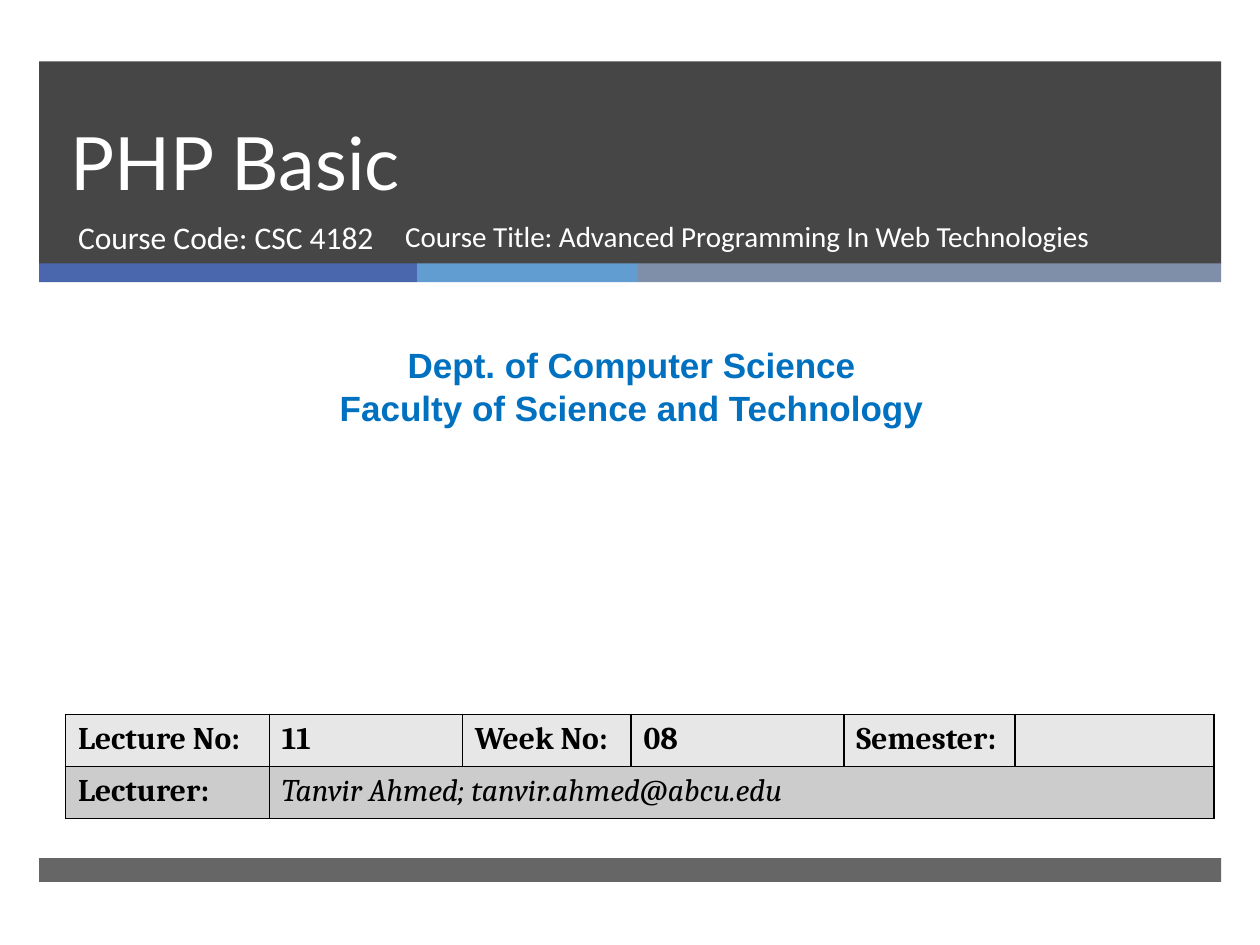
"""Build the opening slide of a PHP lecture."""
from dataclasses import dataclass, field

from lxml import etree
from pptx import Presentation
from pptx.dml.color import RGBColor
from pptx.enum.shapes import MSO_SHAPE
from pptx.enum.text import MSO_ANCHOR, MSO_AUTO_SIZE, PP_ALIGN
from pptx.oxml.ns import qn
from pptx.util import Cm, Pt

RECT = MSO_SHAPE.RECTANGLE
LEFT, CENTER = PP_ALIGN.LEFT, PP_ALIGN.CENTER
TOP, BOTTOM = MSO_ANCHOR.TOP, MSO_ANCHOR.BOTTOM
NO_FIT = MSO_AUTO_SIZE.NONE

COLORS = {
    "dark": "262626", "blue": "4A66AC", "sky": "629DD1", "slate": "7F8FA9",
    "white": "FFFFFF", "dept": "0070C0", "black": "000000",
    "row_light": "E7E7E7", "row_dark": "CCCCCC",
}


@dataclass
class Bar:
    left: float
    top: float
    width: float
    height: float
    color: str
    alpha: int = 100


@dataclass
class Text:
    box: tuple
    lines: list
    font: dict
    color: str
    align: PP_ALIGN = LEFT
    anchor: MSO_ANCHOR = TOP
    para: dict = field(default_factory=dict)


EDGE, BAND_TOP = 0.79, 5.31
BANDS = [(7.62, "blue"), (4.45, "sky"), (11.76, "slate")]
FULL = sum(width for width, _ in BANDS)

TITLE = Text((1.17, 1.24, 21.69, 3.02), ["PHP Basic"],
             {"name": "Lato", "size": Pt(42)}, "white",
             anchor=BOTTOM, para={"line_spacing": Pt(46)})
CODE = Text((1.32, 4.27, 7.75, 1.35), ["Course Code: CSC 4182"],
            {"name": "Calibri", "size": Pt(18)}, "white")
DEPT = Text((0.2, 6.81, 25.07, 1.96),
            ["Dept. of Computer Science", "Faculty of Science and Technology"],
            {"name": "Arial", "size": Pt(20), "bold": True}, "dept", CENTER)
COURSE = Text((7.92, 4.27, 15.09, 1.35),
              ["Course Title: Advanced Programming In Web Technologies"],
              {"name": "Calibri", "size": Pt(16.6)}, "white")

COLS = [4.11, 3.89, 3.4, 4.29, 3.45, 4.01]
ROW_HEIGHT = 1.05
ROWS = [
    ("row_light", ["Lecture No:", "11", "Week No:", "08", "Semester:", ""]),
    ("row_dark", ["Lecturer:", "Tanvir Ahmed; tanvir.ahmed@abcu.edu"]),
]
LABEL = {"name": "Cambria", "size": Pt(18), "bold": True}
PERSON = {**LABEL, "bold": False, "italic": True}


def rgb(name: str) -> RGBColor:
    return RGBColor.from_string(COLORS[name])


def apply(obj, values: dict) -> None:
    for key, value in values.items():
        setattr(obj, key, value)


def add_bar(s, bar: Bar) -> None:
    sp = s.shapes.add_shape(RECT, Cm(bar.left), Cm(bar.top),
                            Cm(bar.width), Cm(bar.height))
    sp.shadow.inherit = False
    sp.line.fill.background()
    sp.fill.solid()
    sp.fill.fore_color.rgb = rgb(bar.color)
    if bar.alpha < 100:
        clr = sp.element.spPr.find(f"{qn('a:solidFill')}/{qn('a:srgbClr')}")
        etree.SubElement(clr, qn("a:alpha"), val=str(bar.alpha * 1000))


def write_text(sp, text: Text) -> None:
    apply(sp, dict(zip(("left", "top", "width", "height"), map(Cm, text.box))))
    tf = sp.text_frame
    apply(tf, {"text": "\n".join(text.lines), "word_wrap": True,
               "auto_size": NO_FIT, "vertical_anchor": text.anchor})
    for p in tf.paragraphs:
        apply(p, {"alignment": text.align, "space_before": Pt(0), **text.para})
        for r in p.runs:
            apply(r.font, text.font)
            r.font.color.rgb = rgb(text.color)


def add_text(s, text: Text) -> None:
    write_text(s.shapes.add_textbox(*map(Cm, text.box)), text)


def place_text(s, sp, text: Text) -> None:
    s.shapes.element.append(sp.element)
    write_text(sp, text)


def add_borders(cell) -> None:
    pr = cell._tc.get_or_add_tcPr()
    for side in ("lnL", "lnR", "lnT", "lnB"):
        ln = etree.SubElement(pr, qn(f"a:{side}"), w=str(Pt(1)))
        fill = etree.SubElement(ln, qn("a:solidFill"))
        etree.SubElement(fill, qn("a:srgbClr"), val=COLORS["black"])


def add_lecture_table(s) -> None:
    table = s.shapes.add_table(len(ROWS), len(COLS), Cm(1.32), Cm(14.4),
                               Cm(sum(COLS)), Cm(ROW_HEIGHT * len(ROWS))).table
    for col, width in zip(table.columns, COLS):
        col.width = Cm(width)
    for row, (color, words) in zip(table.rows, ROWS):
        row.height = Cm(ROW_HEIGHT)
        for cell in row.cells:
            add_borders(cell)
            cell.fill.solid()
            cell.fill.fore_color.rgb = rgb(color)
        for cell, word in zip(row.cells, words):
            p = cell.text_frame.paragraphs[0]
            if word:
                r = p.add_run()
                r.text = word
                apply(r.font, PERSON if "@" in word else LABEL)
                r.font.color.rgb = rgb("black")
    table.cell(1, 1).merge(table.cell(1, len(COLS) - 1))


def main() -> None:
    prs = Presentation()
    apply(prs, {"slide_width": Cm(25.4), "slide_height": Cm(19.05)})
    s = prs.slides.add_slide(prs.slide_layouts[0])
    title, subtitle = s.placeholders
    add_bar(s, Bar(EDGE, 1.24, FULL, 4.09, "dark", 85))
    left = EDGE
    for width, color in BANDS:
        add_bar(s, Bar(left, BAND_TOP, width, 0.38, color))
        left += width
    add_bar(s, Bar(EDGE, 17.3, FULL, 0.48, "dark", 70))
    place_text(s, title, TITLE)
    place_text(s, subtitle, CODE)
    add_text(s, DEPT)
    add_lecture_table(s)
    add_text(s, COURSE)
    prs.save("out.pptx")


main()
